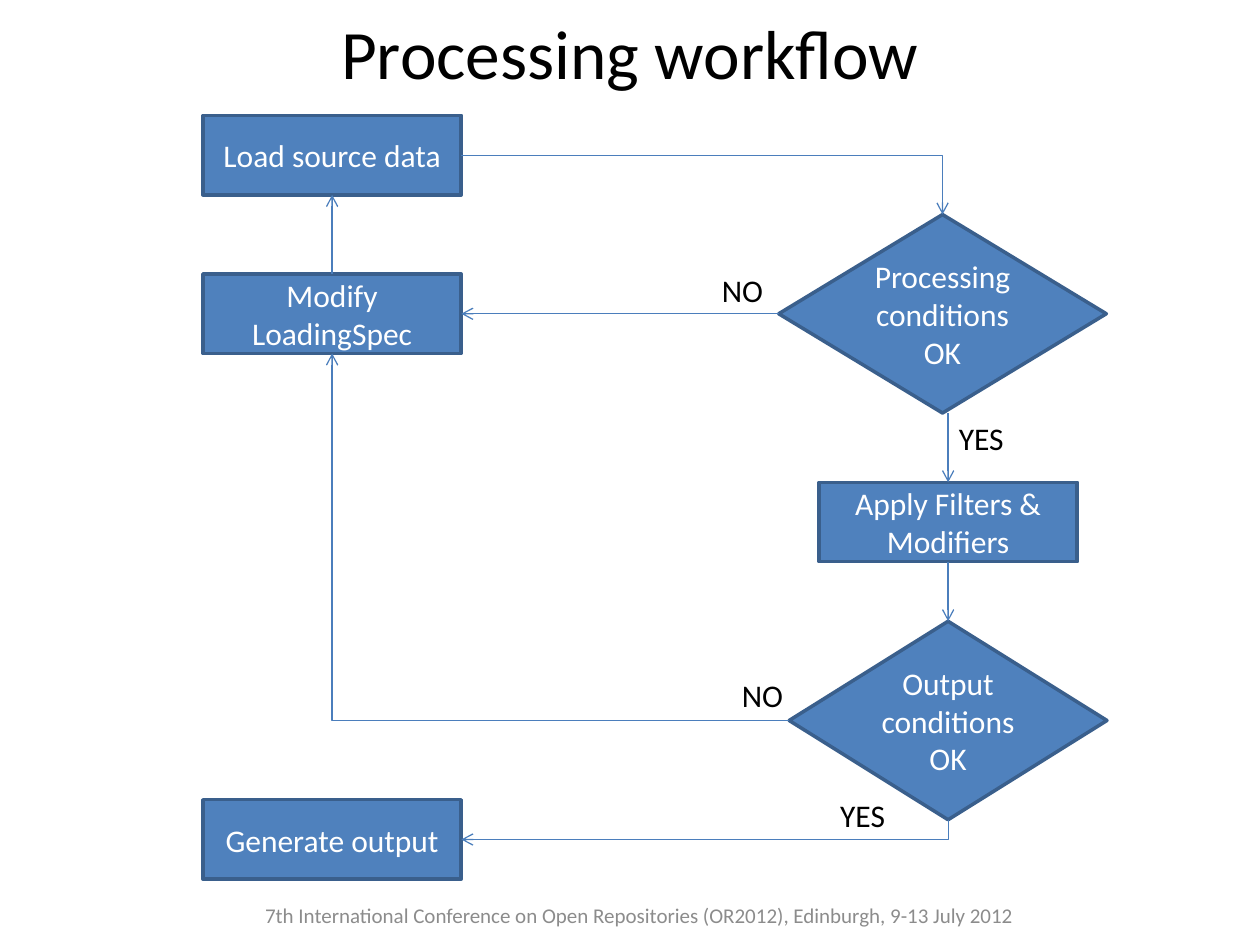
from lxml.etree import SubElement
from pptx import Presentation
from pptx.dml.color import RGBColor
from pptx.enum.shapes import MSO_CONNECTOR, MSO_SHAPE
from pptx.enum.text import MSO_ANCHOR, MSO_AUTO_SIZE, PP_ALIGN
from pptx.oxml.ns import qn
from pptx.util import Pt

BLUE = RGBColor(0x4F, 0x81, 0xBD)
DARK_BLUE = RGBColor(0x3A, 0x5F, 0x8C)
LINE_BLUE = RGBColor(0x4B, 0x7E, 0xBC)
WHITE = RGBColor(0xFF, 0xFF, 0xFF)
BLACK = RGBColor(0x00, 0x00, 0x00)
GREY = RGBColor(0x8C, 0x8C, 0x8C)

TOP, LEFT, BOTTOM, RIGHT = range(4)
BOX_WIDTH, BOX_HEIGHT = 147.6, 45.4
DIAMOND_HEIGHT = 113.4
LEFT_COLUMN, RIGHT_COLUMN = 116, 468
RIGHT_CENTRE = RIGHT_COLUMN + BOX_WIDTH / 2


class WorkflowSlide:
    font_name = "Calibri"
    step_frame = {
        "word_wrap": True,
        "vertical_anchor": MSO_ANCHOR.MIDDLE,
        "margin_left": Pt(3.6),
        "margin_right": Pt(3.6),
    }
    footer_frame = {"word_wrap": True, "vertical_anchor": MSO_ANCHOR.MIDDLE}
    label_frame = {"word_wrap": False, "auto_size": MSO_AUTO_SIZE.SHAPE_TO_FIT_TEXT}

    def __init__(self, page):
        self.page = page

    def apply(self, target, values):
        for name, value in values.items():
            setattr(target, name, value)

    def place(self, shape, left, top, width, height):
        self.apply(shape, {"left": Pt(left), "top": Pt(top),
                           "width": Pt(width), "height": Pt(height)})

    def add_text(self, shape, text, frame_format, size, color, alignment):
        frame = shape.text_frame
        self.apply(frame, frame_format)
        para = frame.paragraphs[0]
        para.alignment = alignment
        span = para.add_run()
        span.text = text
        self.apply(span.font, {"name": self.font_name, "size": Pt(size)})
        span.font.color.rgb = color

    def title(self, text, *area):
        title = self.page.shapes.title
        self.place(title, *area)
        self.add_text(title, text, self.footer_frame, 39.6, BLACK, PP_ALIGN.CENTER)

    def footer(self, text, *area):
        box = self.page.shapes.add_textbox(*map(Pt, area))
        self.add_text(box, text, self.footer_frame, 12, GREY, PP_ALIGN.CENTER)

    def label(self, text, left, top):
        box = self.page.shapes.add_textbox(Pt(left), Pt(top), Pt(40), Pt(29))
        self.add_text(box, text, self.label_frame, 18, BLACK, PP_ALIGN.LEFT)

    def step(self, kind, text, *area):
        shape = self.page.shapes.add_shape(kind, *map(Pt, area))
        shape.shadow.inherit = False
        shape.fill.solid()
        shape.fill.fore_color.rgb = BLUE
        shape.line.color.rgb = DARK_BLUE
        shape.line.width = Pt(2)
        self.add_text(shape, text, self.step_frame, 18, WHITE, PP_ALIGN.CENTER)
        return shape

    def process(self, text, left, top):
        return self.step(MSO_SHAPE.RECTANGLE, text, left, top, BOX_WIDTH, BOX_HEIGHT)

    def decision(self, text, left, top, width):
        return self.step(MSO_SHAPE.DIAMOND, text, left, top, width, DIAMOND_HEIGHT)

    def arrow(self, start, end, kind=MSO_CONNECTOR.STRAIGHT):
        line = self.page.shapes.add_connector(kind, 0, 0, 0, 0)
        line.begin_connect(*start)
        line.end_connect(*end)
        line.line.color.rgb = LINE_BLUE
        line.line.width = Pt(0.75)
        properties = line._element.spPr
        SubElement(properties.find(qn("a:ln")), qn("a:tailEnd"), type="arrow")
        SubElement(properties, qn("a:effectLst"))
        return line

    def elbow(self, start, end, down_first=False):
        line = self.arrow(start, end, MSO_CONNECTOR.ELBOW)
        properties = line._element.spPr
        properties.find(qn("a:prstGeom")).set("prst", "bentConnector2")
        if down_first:
            width, height = line.width, line.height
            shift = (width - height) // 2
            self.apply(line, {"left": line.left + shift, "top": line.top - shift,
                              "width": height, "height": width})
            frame = properties.find(qn("a:xfrm"))
            frame.attrib.pop("flipH", None)
            frame.set("rot", "5400000")


def main():
    deck = Presentation()
    deck.slide_width, deck.slide_height = Pt(720), Pt(540)
    slide = WorkflowSlide(deck.slides.add_slide(deck.slide_layouts[5]))

    slide.title("Processing workflow", 36, 10, 648, 39)
    slide.footer("7th International Conference on Open Repositories (OR2012), "
                 "Edinburgh, 9-13 July 2012", 70.6, 508.5, 589.6, 28.8)

    load = slide.process("Load source data", LEFT_COLUMN, 66)
    modify = slide.process("Modify LoadingSpec", LEFT_COLUMN, 156.6)
    generate = slide.process("Generate output", LEFT_COLUMN, 457)
    filters = slide.process("Apply Filters & Modifiers", RIGHT_COLUMN, 275.6)
    processing = slide.decision("Processing conditions OK", 445, 122.6, 187.2)
    output = slide.decision("Output conditions OK", 451, 355, 181.6)

    slide.arrow((processing, LEFT), (modify, RIGHT))
    slide.arrow((modify, TOP), (load, BOTTOM))
    slide.arrow((filters, BOTTOM), (output, TOP))
    accepted = slide.arrow((filters, TOP), (filters, TOP))
    accepted.begin_x, accepted.begin_y = Pt(RIGHT_CENTRE), Pt(236)
    connection = accepted._element.nvCxnSpPr.cNvCxnSpPr
    connection.remove(connection.find(qn("a:stCxn")))

    slide.elbow((load, RIGHT), (processing, TOP))
    slide.elbow((output, LEFT), (modify, BOTTOM))
    slide.elbow((output, BOTTOM), (generate, RIGHT), down_first=True)

    for text, left, top in (("NO", 405.4, 151.4), ("YES", 540.8, 235.8),
                            ("NO", 416.8, 383), ("YES", 473, 451.6)):
        slide.label(text, left, top)

    deck.save("out.pptx")


if __name__ == "__main__":
    main()
